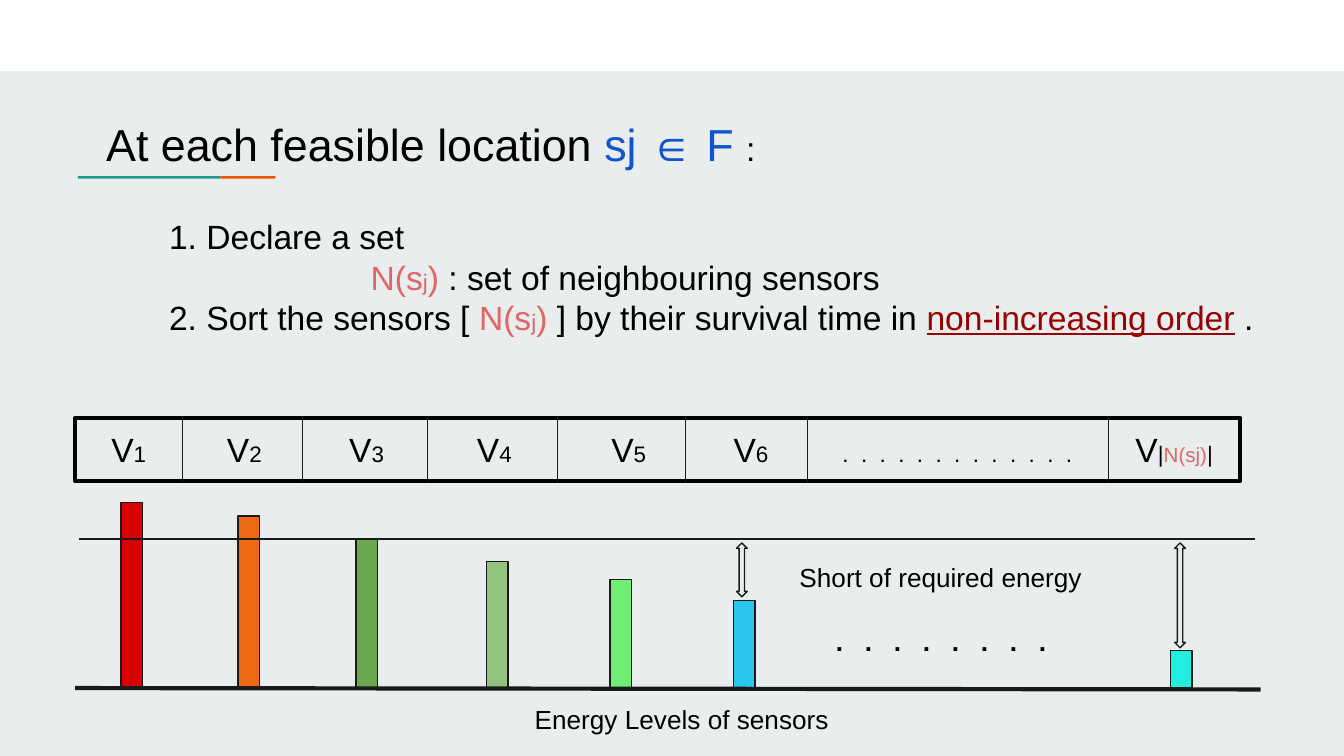
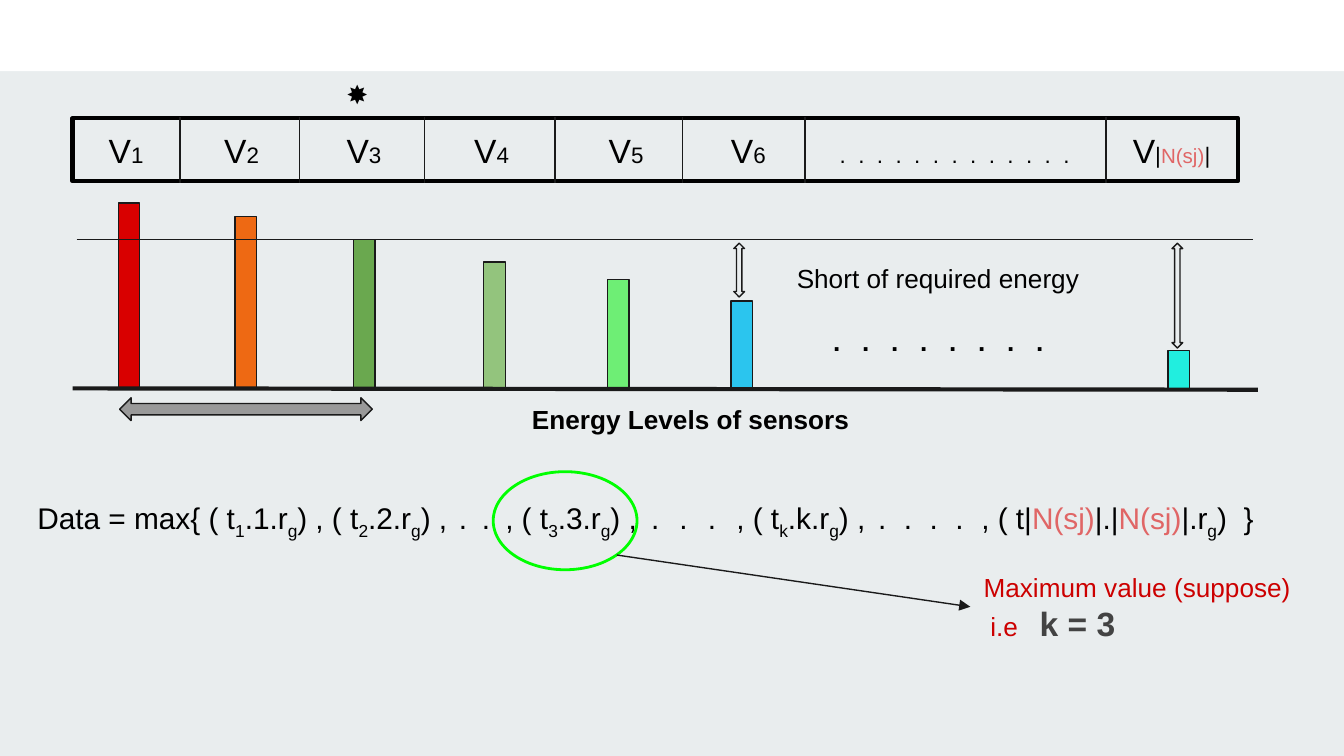
from dataclasses import dataclass

from lxml.etree import SubElement
from pptx import Presentation
from pptx.dml.color import RGBColor
from pptx.enum.shapes import MSO_CONNECTOR, MSO_SHAPE
from pptx.enum.text import MSO_ANCHOR, PP_ALIGN
from pptx.oxml.ns import qn
from pptx.util import Inches, Pt


@dataclass(frozen=True)
class Theme:
    font: str = "Arial"
    background: str = "E9EDEE"
    band: str = "FFFFFF"
    teal: str = "1A9988"
    orange: str = "EB5600"
    black: str = "000000"
    line: str = "1A1A1A"
    blue: str = "1155CC"
    salmon: str = "E06666"
    maroon: str = "990000"
    red: str = "CC0000"
    gray: str = "434343"
    span: str = "999999"
    highlight: str = "00FF00"
    title: int = 24
    body: int = 18
    formula: int = 16
    label: int = 14
    index: int = 12
    small: int = 11
    thin: float = 0.75
    medium: float = 1.5
    thick: float = 2.25


theme = Theme()


def write(paragraph, runs, size, color=theme.black, tabs=()):
    paragraph.font.name = theme.font
    paragraph.alignment = PP_ALIGN.LEFT
    if tabs:
        tab_list = SubElement(paragraph._p.get_or_add_pPr(), qn("a:tabLst"))
        paragraph._p.pPr.insert(0, tab_list)
        for position in tabs:
            SubElement(tab_list, qn("a:tab"), pos=str(Inches(position)), algn="l")
    for text, style in runs:
        run = paragraph.add_run()
        run.text = text
        run.font.size = Pt(style.get("size", size))
        run.font.color.rgb = RGBColor.from_string(style.get("color", color))
        run.font.bold = style.get("bold", False)
        if style.get("underline"):
            run.font.underline = True
        for attribute in ("baseline", "spc"):
            if attribute in style:
                run._r.get_or_add_rPr().set(attribute, str(style[attribute]))


def add_block(slide, kind, box, fill=None, line=None, width=theme.thin):
    lengths = [Inches(value) for value in box]
    if kind is None:
        shape = slide.shapes.add_textbox(*lengths)
    else:
        shape = slide.shapes.add_shape(kind, *lengths)
        shape.shadow.inherit = False
        if fill:
            shape.fill.solid()
            shape.fill.fore_color.rgb = RGBColor.from_string(fill)
        else:
            shape.fill.background()
        if line:
            shape.line.color.rgb = RGBColor.from_string(line)
            shape.line.width = Pt(width)
        else:
            shape.line.fill.background()
    frame = shape.text_frame
    frame.word_wrap = True
    frame.margin_left = frame.margin_right = Inches(0.1)
    frame.margin_top = frame.margin_bottom = Inches(0.1)
    return shape


presentation = Presentation()
presentation.slide_width = Inches(10)
presentation.slide_height = Inches(10) * 9 // 16
master = presentation.slide_master
master.background.fill.solid()
master.background.fill.fore_color.rgb = RGBColor.from_string(theme.background)

location_slide = presentation.slides.add_slide(presentation.slide_layouts[5])
maximum_slide = presentation.slides.add_slide(presentation.slide_layouts[6])

for box, color in [
    ((0, 0, 10, 0.53), theme.band),
    ((0.58, 1.31, 1.06, 0.02), theme.teal),
    ((1.64, 1.31, 0.41, 0.02), theme.orange),
]:
    shape = add_block(location_slide, MSO_SHAPE.RECTANGLE, box, color)
    master.element.cSld.spTree.append(shape.element)

title = location_slide.shapes.title
title.left, title.top = Inches(0.69), Inches(0.77)
title.width, title.height = Inches(5.32), Inches(0.51)
title.text_frame.vertical_anchor = MSO_ANCHOR.TOP
title.text_frame.margin_left = title.text_frame.margin_top = Inches(0.1)
write(title.text_frame.paragraphs[0], [
    ("At each feasible location ", {}),
    ("sj ∈ F ", {"color": theme.blue}),
    (":", {"size": theme.body}),
], theme.title)

salmon = {"color": theme.salmon}
neighbours = [
    ("N(s", salmon),
    ("j", {"color": theme.salmon, "size": theme.index}),
    (")", salmon),
]
steps = [
    [("1. Declare a set", {})],
    neighbours + [(" : set of neighbouring sensors", {})],
    [("2. Sort the sensors [ ", {})] + neighbours + [
        (" ] by their survival time in ", {}),
        ("non-increasing order", {"color": theme.maroon, "underline": True}),
        (" .", {}),
    ],
]
frame = add_block(location_slide, None, (1.16, 1.51, 8.6, 1.43)).text_frame
for number, runs in enumerate(steps):
    paragraph = frame.add_paragraph() if number else frame.paragraphs[0]
    write(paragraph, runs, theme.body)
    if number == 1:
        paragraph._p.pPr.set("marL", str(Inches(1)))
        paragraph._p.pPr.set("indent", str(Inches(0.5)))

dividers = [0.8, 1.69, 2.62, 3.59, 4.54, 5.45, 7.69]
label_tabs = [0.17, 1.03, 1.94, 2.89, 3.89, 4.8, 5.61, 7.79]
bars = [
    (0.34, 0.63, "D90000"),
    (1.21, 0.73, "EE6913"),
    (2.09, 0.9, "6AA84F"),
    (3.06, 1.07, "93C47D"),
    (3.98, 1.2, "6EEE75"),
    (4.9, 1.36, "2BC5EE"),
    (8.15, 1.73, "21EEDF"),
]
base = 2.01
required = 0.9
sensor_labels = []
for number in range(1, 7):
    sensor_labels += [("\tV", {}), (str(number), {"size": theme.index})]
sensor_labels += [
    ("\t" + " ".join("." * 13), {"size": theme.index, "spc": 167}),
    ("\tV", {}),
    ("|", {"size": theme.index}),
    ("N(sj)", {"size": theme.small, "color": theme.salmon}),
    ("|", {"size": theme.index}),
]

for slide, left, top, caption_width, caption_bold in [
    (location_slide, 0.56, 3.11, 2.45, False),
    (maximum_slide, 0.54, 0.88, 2.63, True),
]:
    strip = add_block(slide, MSO_SHAPE.RECTANGLE, (left, top, 8.67, 0.47),
                      theme.background, theme.black, theme.thick)
    strip.text_frame.vertical_anchor = MSO_ANCHOR.MIDDLE
    write(strip.text_frame.paragraphs[0], sensor_labels, theme.body, tabs=label_tabs)

    for offset, bar_top, color in bars:
        add_block(slide, MSO_SHAPE.RECTANGLE,
                  (left + offset, top + bar_top, 0.16, base - bar_top), color, theme.line)
    for offset, height in [(4.92, 0.4), (8.18, 0.78)]:
        add_block(slide, MSO_SHAPE.UP_DOWN_ARROW,
                  (left + offset, top + 0.93, 0.08, height), theme.background, theme.line)

    lines = [(x, -0.01, x, 0.48, theme.thin) for x in dividers]
    lines += [
        (0, base, 8.82, base + 0.01, theme.thick),
        (0.03, required, 8.78, required, theme.thin),
    ]
    for x1, y1, x2, y2, width in lines:
        connector = slide.shapes.add_connector(
            MSO_CONNECTOR.STRAIGHT, Inches(left + x1), Inches(top + y1),
            Inches(left + x2), Inches(top + y2))
        connector.line.color.rgb = RGBColor.from_string(theme.line)
        connector.line.width = Pt(width)
        SubElement(connector._element.spPr, qn("a:effectLst"))

    caption = add_block(slide, None, (left + 3.32, top + 2.02, caption_width, 0.28))
    write(caption.text_frame.paragraphs[0],
          [("Energy Levels of sensors", {"bold": caption_bold})], theme.label)

    shortage = add_block(slide, None, (left + 5.29, top + 0.97, 2.45, 0.95)).text_frame
    write(shortage.paragraphs[0], [("Short of required energy", {})], theme.label)
    paragraph = shortage.add_paragraph()
    paragraph.space_before = Pt(17)
    write(paragraph, [(" ".join("." * 8), {"bold": True, "spc": 389})], theme.label)
    paragraph._p.pPr.set("marL", str(Inches(0.27)))
    paragraph._p.pPr.set("indent", "0")

star = add_block(maximum_slide, None, (2.48, 0.48, 0.3, 0.33))
write(star.text_frame.paragraphs[0], [("✸", {})], theme.label)

subscript = {"baseline": -25000}
formula = [("Data = max{", {})]
for opening, index, gap, spacing in [
    (" ( t", "1", "", 0),
    (" ( t", "2", " . . ", 178),
    (", ( t", "3", " . . . ", 318),
    (", ( t", "k", " . . . . ", 247),
]:
    formula += [
        (opening, {}),
        (index, subscript),
        (f".{index}.r", {}),
        ("g", subscript),
        (") ,", {}),
    ]
    if gap:
        formula.append((gap, {"spc": spacing}))
formula += [
    (", ( t|", {}),
    ("N(sj)", salmon),
    ("|.|", {}),
    ("N(sj)", salmon),
    ("|.r", {}),
    ("g", subscript),
    (")", {}),
    (" ", {"spc": 445}),
    ("}", {}),
]
data = add_block(maximum_slide, None, (0.18, 3.62, 9.37, 0.73))
write(data.text_frame.paragraphs[0], formula, theme.formula)

add_block(maximum_slide, MSO_SHAPE.OVAL, (3.67, 3.51, 1.07, 0.73),
          line=theme.highlight, width=theme.medium)

note = add_block(maximum_slide, None, (7.22, 4.15, 2.53, 0.73))
write(note.text_frame.paragraphs[0], [("Maximum value (suppose)", {})],
      theme.label, theme.red)
paragraph = note.text_frame.add_paragraph()
write(paragraph, [
    ("i.e", {}),
    (" ", {"spc": 778}),
    ("k = 3", {"size": theme.body, "color": theme.gray, "bold": True}),
], theme.label, theme.red)
paragraph._p.pPr.set("marL", str(Inches(0.05)))
paragraph._p.pPr.set("indent", "0")

pointer = maximum_slide.shapes.add_connector(
    MSO_CONNECTOR.STRAIGHT, Inches(4.59), Inches(4.13), Inches(7.22), Inches(4.52))
pointer.end_connect(note, 1)
pointer.line.color.rgb = RGBColor.from_string(theme.line)
pointer.line.width = Pt(theme.thin)
SubElement(pointer.line._get_or_add_ln(), qn("a:tailEnd"), type="triangle")
SubElement(pointer._element.spPr, qn("a:effectLst"))

add_block(maximum_slide, MSO_SHAPE.LEFT_RIGHT_ARROW, (0.89, 2.96, 1.88, 0.17),
          theme.span, theme.line)

presentation.save("out.pptx")
